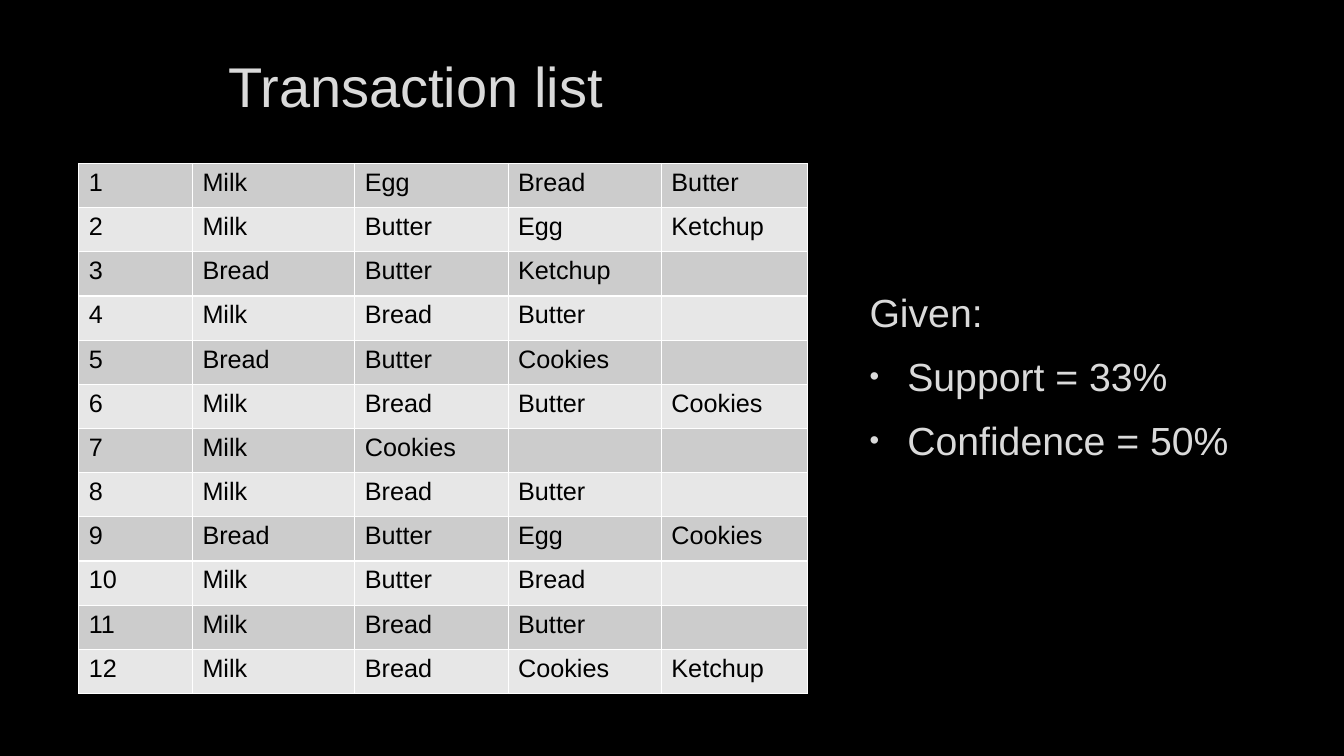
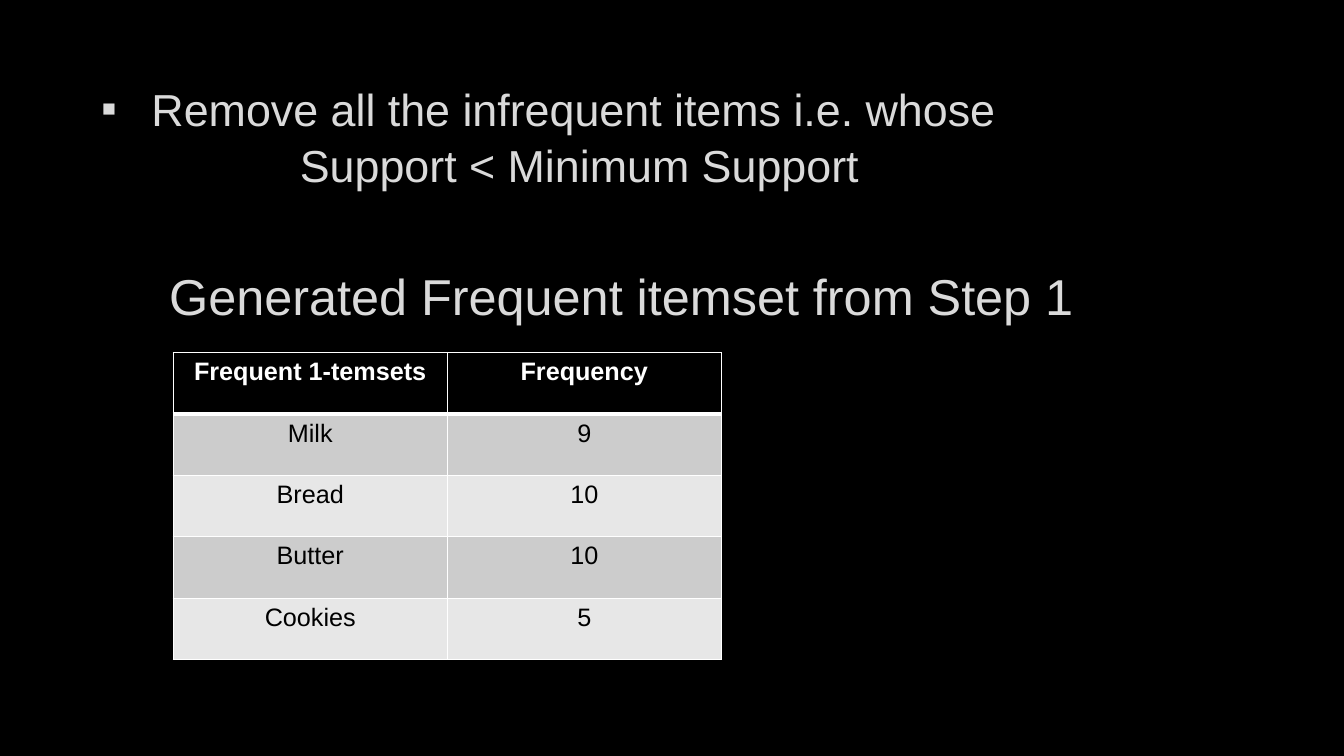
from dataclasses import dataclass

from lxml import etree
from pptx import Presentation
from pptx.dml.color import RGBColor
from pptx.enum import text as t
from pptx.oxml import ns
from pptx.util import Pt


@dataclass(frozen=True)
class Theme:
    font: str = "Arial"
    background: str = "000000"
    text: str = "DADADA"
    cell_text: str = "000000"
    header_text: str = "FFFFFF"
    border: str = "FFFFFF"
    bands: tuple = ("CCCCCC", "E7E7E7")
    title: int = 40
    subtitle: int = 36
    statement: int = 32
    body: int = 28
    cell: int = 18


theme = Theme()
LEFT, CENTER = t.PP_ALIGN.LEFT, t.PP_ALIGN.CENTER


def write(frame, text, size, color=theme.text, bold=False, align=LEFT, before=0, after=0,
          spacing=None, indent=0, bullet=None, bullet_size=100):
    """Fill the first paragraph while it is empty, otherwise add another."""
    paragraph = frame.paragraphs[-1]
    if paragraph.runs:
        paragraph = frame.add_paragraph()
    paragraph.alignment = align
    paragraph.space_before, paragraph.space_after = Pt(before), Pt(after)
    paragraph.line_spacing = spacing
    run = paragraph.add_run()
    run.text = text
    run.font.name, run.font.size, run.font.bold = theme.font, Pt(size), bold
    run.font.color.rgb = RGBColor.from_string(color)
    properties = paragraph._p.get_or_add_pPr()
    properties.set("marL", str(Pt(indent)))
    properties.set("indent", str(-Pt(indent) if bullet else 0))
    if bullet:
        bullet_color = etree.SubElement(properties, ns.qn("a:buClr"))
        etree.SubElement(bullet_color, ns.qn("a:srgbClr"), val=color)
        etree.SubElement(properties, ns.qn("a:buSzPct"), val=str(bullet_size * 1000))
        etree.SubElement(properties, ns.qn("a:buFont"), typeface=theme.font)
        etree.SubElement(properties, ns.qn("a:buChar"), char=bullet)


def add_grid(slide, rows, left, top, widths, row_height, align=LEFT, header=False):
    """Add a banded table with white rules and an optional header row."""
    table = slide.shapes.add_table(len(rows), len(widths), Pt(left), Pt(top),
                                   Pt(sum(widths)), Pt(row_height * len(rows))).table
    table.first_row, table.horz_banding = header, False
    for column, width in zip(table.columns, widths):
        column.width = Pt(width)
    for row_number, values in enumerate(rows):
        table.rows[row_number].height = Pt(row_height)
        is_header = header and row_number == 0
        fill = theme.background if is_header else theme.bands[(row_number - header) % 2]
        for column_number in range(len(widths)):
            cell = table.cell(row_number, column_number)
            properties = cell._tc.get_or_add_tcPr()
            for side in ("lnL", "lnR", "lnT", "lnB"):
                below_header = header and (row_number, side) in ((0, "lnB"), (1, "lnT"))
                line = etree.SubElement(properties, ns.qn("a:" + side),
                                        w=str(Pt(3 if below_header else 1)))
                line_fill = etree.SubElement(line, ns.qn("a:solidFill"))
                etree.SubElement(line_fill, ns.qn("a:srgbClr"), val=theme.border)
            cell.fill.solid()
            cell.fill.fore_color.rgb = RGBColor.from_string(fill)
            if column_number < len(values):
                write(cell.text_frame, values[column_number], theme.cell, align=align,
                      color=theme.header_text if is_header else theme.cell_text,
                      bold=is_header)


presentation = Presentation()
presentation.slide_width, presentation.slide_height = Pt(960), Pt(540)
master_fill = presentation.slide_master.background.fill
master_fill.solid()
master_fill.fore_color.rgb = RGBColor.from_string(theme.background)

# Slides with their title and body frames: left, top, width, height
frames = [
    ((91.5, 31, 410.5, 57.5), (614, 202.5, 291.5, 152)),
    ((65, 31, 787, 109.5), (113.75, 185.75, 787, 66)),
]
slides, titles, bodies = [], [], []
for title_box, body_box in frames:
    slide = presentation.slides.add_slide(presentation.slide_layouts[5])
    title = slide.shapes.title
    title.left, title.top, title.width, title.height = map(Pt, title_box)
    body = slide.shapes.add_textbox(*map(Pt, body_box))
    for shape, anchor in ((title, t.MSO_ANCHOR.BOTTOM), (body, t.MSO_ANCHOR.TOP)):
        shape.text_frame.word_wrap = True
        shape.text_frame.auto_size = t.MSO_AUTO_SIZE.NONE
        shape.text_frame.vertical_anchor = anchor
    slides.append(slide)
    titles.append(title.text_frame)
    bodies.append(body.text_frame)

# Slide 1: transactions and thresholds
write(titles[0], "Transaction list", theme.title, align=CENTER)
baskets = [
    "Milk Egg Bread Butter",
    "Milk Butter Egg Ketchup",
    "Bread Butter Ketchup",
    "Milk Bread Butter",
    "Bread Butter Cookies",
    "Milk Bread Butter Cookies",
    "Milk Cookies",
    "Milk Bread Butter",
    "Bread Butter Egg Cookies",
    "Milk Butter Bread",
    "Milk Bread Butter",
    "Milk Bread Cookies Ketchup",
]
transactions = [[str(number), *basket.split()] for number, basket in enumerate(baskets, 1)]
add_grid(slides[0], transactions, 56.25, 116.75, (81.25, 116, 109.5, 109.5, 104.5), 31.55)
write(bodies[0], "Given:", theme.body, before=6, after=6)
for threshold in ("Support = 33%", "Confidence = 50%"):
    write(bodies[0], threshold, theme.body, before=6, after=6, indent=27,
          bullet="•", bullet_size=70)

# Slide 2: frequent items
write(titles[1], "Remove all the infrequent items i.e. whose", theme.statement,
      spacing=1.05, indent=36, bullet="▪")
write(titles[1], "Support < Minimum Support", theme.statement, spacing=1.05, indent=142)
write(bodies[1], "Generated Frequent itemset from Step 1", theme.subtitle, before=6, after=6)
frequencies = [
    ("Frequent 1-temsets", "Frequency"),
    ("Milk", "9"),
    ("Bread", "10"),
    ("Butter", "10"),
    ("Cookies", "5"),
]
add_grid(slides[1], frequencies, 123.75, 252, (195.75, 195.75), 43.85,
         align=CENTER, header=True)

presentation.save("out.pptx")
